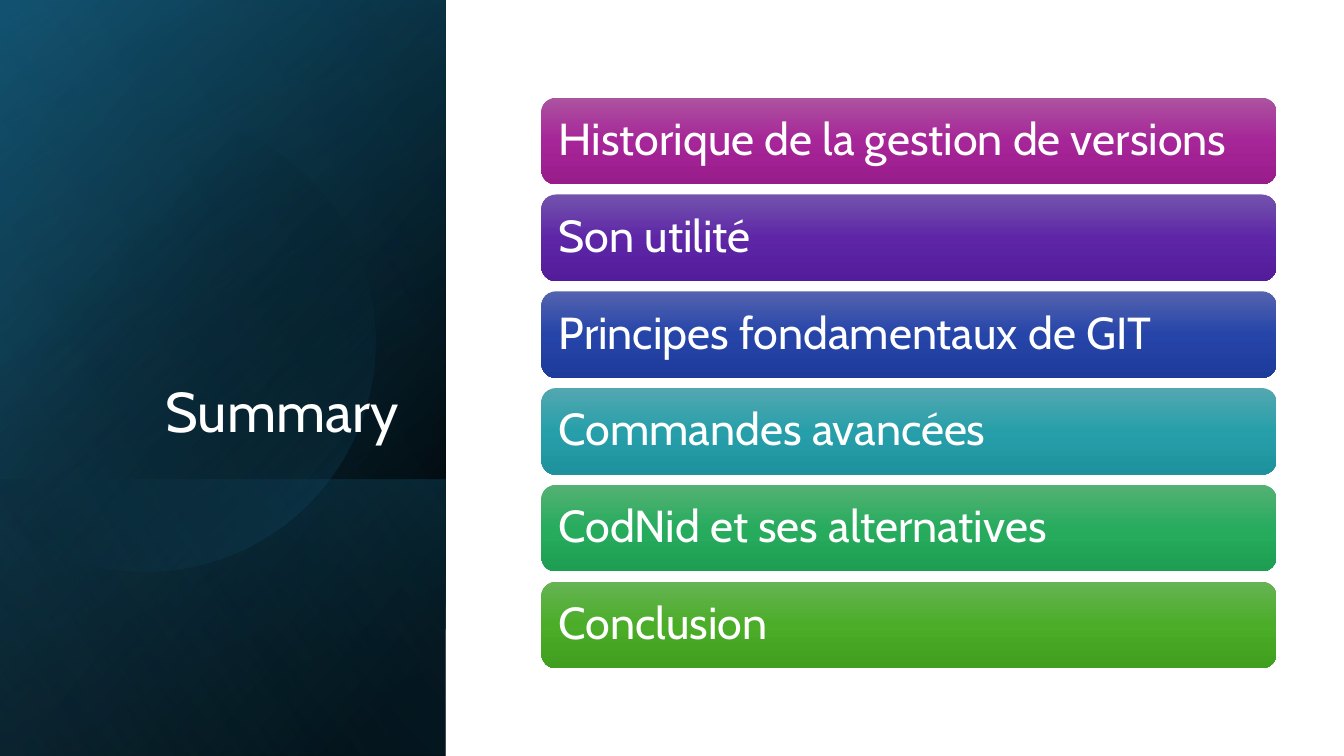
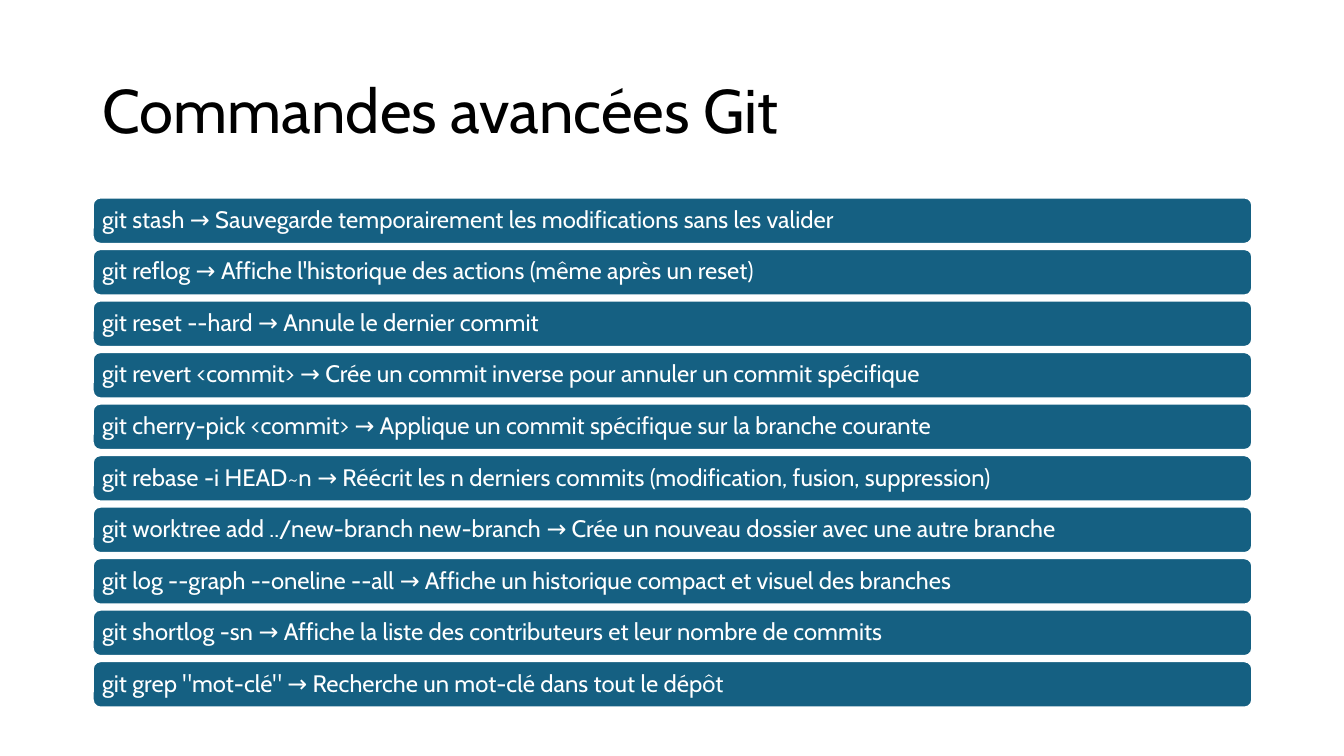
from lxml.etree import SubElement
from pptx import Presentation
from pptx.dml.color import RGBColor
from pptx.enum.shapes import MSO_SHAPE
from pptx.enum.text import MSO_ANCHOR, PP_ALIGN
from pptx.oxml.ns import qn
from pptx.util import Inches, Pt

# Shared style
FONT = "Cabin"
COLORS = {
    "white": "FFFFFF", "black": "000000", "blue": "156082",
    "deep": "104862", "sky": "46B1E1",
}
PANEL_W, SLIDE_W, SLIDE_H = 4.42, 13.33, 7.5

# Slide 1: label and gradient from top to bottom
SUMMARY = [
    ("Historique de la gestion de versions", ("AC53A0", "A62598", "991C8B")),
    ("Son utilité", ("7353AD", "5E26A7", "531C9A")),
    ("Principes fondamentaux de GIT", ("5363AF", "2645A9", "1D3B9B")),
    ("Commandes avancées", ("53A7B0", "279FAA", "1D929D")),
    ("CodNid et ses alternatives", ("54B173", "27AC5E", "1E9E52")),
    ("Conclusion", ("66B354", "4BAD28", "409F1E")),
]

# Panel layers: top, height, gradient stops (position, colour, opacity), angle
LAYERS_BELOW = [
    (0, SLIDE_H, [(8, "black", 100), (100, "deep", 100)], 50),
    (0, SLIDE_H, [(0, "black", 0), (99, "blue", 46)], 30),
    (4.76, 2.74, [(2, "blue", 29), (100, "black", 30)], 130),
]
LAYER_ABOVE = (0, SLIDE_H, [(0, "black", 0), (99, "sky", 11)], 120)

# Disc cut by the slide edge: one point is a line, three points are a curve
DISC_START = (1.49, 1.1)
DISC_SEGMENTS = [
    [(2.46, 1.12), (3.35, 1.77), (3.63, 2.75)],
    [(3.98, 3.97), (3.28, 5.23), (2.07, 5.58)],
    [(1.31, 5.8), (0.53, 5.61), (0, 5.14)],
    [(0, 1.61)],
    [(0.23, 1.42), (0.5, 1.28), (0.8, 1.19)],
    [(1.03, 1.13), (1.26, 1.1), (1.49, 1.1)],
]

# Slide 2: command and what it does
COMMANDS = [
    ("git stash", "Sauvegarde temporairement les modifications sans les valider"),
    ("git reflog", "Affiche l'historique des actions (même après un reset)"),
    ("git reset --hard", "Annule le dernier commit"),
    ("git revert <commit>", "Crée un commit inverse pour annuler un commit spécifique"),
    ("git cherry-pick <commit>", "Applique un commit spécifique sur la branche courante"),
    ("git rebase -i HEAD~n",
     "Réécrit les n derniers commits (modification, fusion, suppression)"),
    ("git worktree add ../new-branch new-branch",
     "Crée un nouveau dossier avec une autre branche"),
    ("git log --graph --oneline --all",
     "Affiche un historique compact et visuel des branches"),
    ("git shortlog -sn", "Affiche la liste des contributeurs et leur nombre de commits"),
    ('git grep "mot-clé"', "Recherche un mot-clé dans tout le dépôt"),
]


def rgb(name):
    return RGBColor.from_string(COLORS[name])


def set_gradient(sp, stops, angle):
    """Fill with (position, hex, opacity) stops; angle runs clockwise."""
    sp.fill.background()
    no_fill = sp._element.spPr.find(qn("a:noFill"))
    grad = SubElement(sp._element.spPr, qn("a:gradFill"), rotWithShape="1")
    no_fill.getparent().replace(no_fill, grad)
    gs_list = SubElement(grad, qn("a:gsLst"))
    for pos, color, opacity in stops:
        gs = SubElement(gs_list, qn("a:gs"), pos=str(pos * 1000))
        clr = SubElement(gs, qn("a:srgbClr"), val=color)
        if opacity < 100:
            SubElement(clr, qn("a:alpha"), val=str(opacity * 1000))
    SubElement(grad, qn("a:lin"), ang=str(angle * 60000), scaled="0")


def named_stops(stops):
    return [(pos, COLORS[name], opacity) for pos, name, opacity in stops]


def set_plain(sp):
    sp.shadow.inherit = False
    sp.line.fill.background()


def set_text(sp, text, size, color, anchor, align=PP_ALIGN.LEFT):
    tf = sp.text_frame
    tf.text = text
    tf.word_wrap = True
    tf.vertical_anchor = anchor
    p = tf.paragraphs[0]
    p.alignment = align
    p.line_spacing = 0.9
    p.font.name, p.font.size, p.font.color.rgb = FONT, Pt(size), rgb(color)
    return tf


def add_title(s, text, box, size, color, anchor, align=PP_ALIGN.LEFT):
    title = s.shapes.title
    title.left, title.top, title.width, title.height = map(Inches, box)
    set_text(title, text, size, color, anchor, align)
    s.shapes._spTree.append(title._element)


def add_bar(s, box, text, size, inset):
    sp = s.shapes.add_shape(MSO_SHAPE.ROUNDED_RECTANGLE, *map(Inches, box))
    set_plain(sp)
    tf = set_text(sp, text, size, "white", MSO_ANCHOR.MIDDLE)
    tf.margin_left = tf.margin_right = Inches(inset)
    tf.margin_top = tf.margin_bottom = 0
    return sp


def add_layer(s, top, height, stops, angle):
    """A panel layer, mirrored and turned a quarter so its gradient turns too."""
    left = (PANEL_W - height) / 2
    y = top + (height - PANEL_W) / 2
    sp = s.shapes.add_shape(MSO_SHAPE.RECTANGLE, Inches(left), Inches(y),
                            Inches(height), Inches(PANEL_W))
    sp.rotation = 90
    sp._element.spPr.find(qn("a:xfrm")).set("flipH", "1")
    set_plain(sp)
    set_gradient(sp, named_stops(stops), angle)


def add_disc(s):
    x, y = map(Inches, DISC_START)
    builder = s.shapes.build_freeform(x, y)
    builder.add_line_segments(
        [(Inches(px), Inches(py)) for seg in DISC_SEGMENTS for px, py in seg])
    sp = builder.convert_to_shape()
    # Join each run of three points into one cubic curve
    lines = iter(list(sp._element.iter(qn("a:lnTo"))))
    for seg in DISC_SEGMENTS:
        parts = [next(lines) for _ in seg]
        if len(parts) == 3:
            parts[0].tag = qn("a:cubicBezTo")
            for part in parts[1:]:
                parts[0].append(part[0])
                part.getparent().remove(part)
    set_plain(sp)
    set_gradient(sp, named_stops([(29, "black", 0), (100, "blue", 43)]), 45)


def build_summary(s):
    for layer in LAYERS_BELOW:
        add_layer(s, *layer)
    add_disc(s)
    add_layer(s, *LAYER_ABOVE)
    add_title(s, "Summary", (0.64, 1.84, 3.41, 2.62), 40, "white",
              MSO_ANCHOR.BOTTOM, PP_ALIGN.RIGHT)
    for i, (label, shades) in enumerate(SUMMARY):
        sp = add_bar(s, (5.37, 0.97 + 0.96 * i, 7.29, 0.86), label, 32, 0.13)
        set_gradient(sp, [(50 * k, c, 100) for k, c in enumerate(shades)], 90)


def build_commands(s):
    add_title(s, "Commandes avancées Git", (0.92, 0.4, 11.5, 1.45), 44, "black",
              MSO_ANCHOR.MIDDLE)
    pitch = (6.56 - 1.96) / (len(COMMANDS) - 1)
    for i, (command, effect) in enumerate(COMMANDS):
        sp = add_bar(s, (0.92, 1.96 + pitch * i, 11.5, 0.46),
                     f"{command} → {effect}", 17, 0.07)
        sp.fill.solid()
        sp.fill.fore_color.rgb = rgb("blue")
        sp.line.color.rgb = rgb("white")
        sp.line.width = Pt(1.5)


def main():
    prs = Presentation()
    prs.slide_width, prs.slide_height = Inches(SLIDE_W), Inches(SLIDE_H)
    title_only = prs.slide_layouts[5]
    for build in (build_summary, build_commands):
        build(prs.slides.add_slide(title_only))
    prs.save("out.pptx")


if __name__ == "__main__":
    main()
